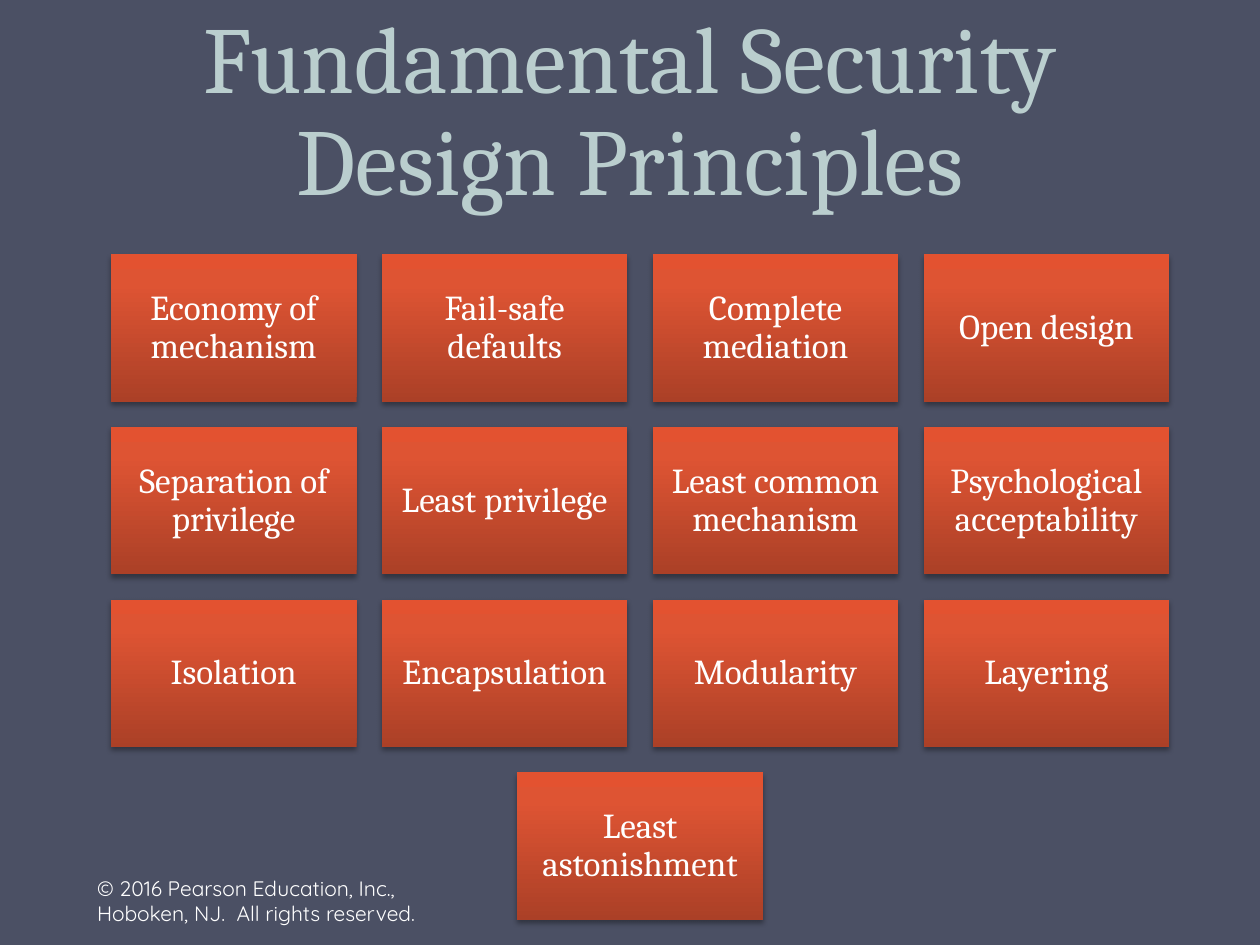
from dataclasses import dataclass

from lxml import etree
from pptx import Presentation
from pptx.dml.color import RGBColor
from pptx.enum.shapes import MSO_SHAPE
from pptx.enum.text import MSO_ANCHOR, PP_ALIGN
from pptx.oxml.ns import qn
from pptx.util import Inches, Pt

RECTANGLE = MSO_SHAPE.RECTANGLE
CENTER, LEFT = PP_ALIGN.CENTER, PP_ALIGN.LEFT
MIDDLE, BOTTOM = MSO_ANCHOR.MIDDLE, MSO_ANCHOR.BOTTOM


@dataclass(frozen=True)
class Theme:
    background: str = "4B5064"
    heading: str = "BACECE"
    text: str = "FFFFFF"
    shadow: str = "000000"
    tile_stops: tuple = ((0, "AB4027"), (80, "DE5433"), (100, "E35230"))
    serif: str = "Cambria"
    sans: str = "Quicksand"
    title_size: int = 54
    tile_size: int = 20
    footer_size: int = 12


theme = Theme()


def write_text(box, text, font, size, color, align, anchor, insets, spacing=None):
    frame = box.text_frame
    frame.word_wrap = True
    frame.vertical_anchor = anchor
    (frame.margin_left, frame.margin_top,
     frame.margin_right, frame.margin_bottom) = map(Inches, insets)
    para = frame.paragraphs[0]
    para.alignment = align
    para.line_spacing = spacing
    span = para.add_run()
    span.text = text
    span.font.name = font
    span.font.size = Pt(size)
    span.font.color.rgb = RGBColor.from_string(color)


def style_tile(tile):
    # Gradient runs from the dark bottom edge up to the bright top edge
    tile.fill.gradient()
    tile.fill.gradient_angle = 90
    stops = tile._element.spPr.find(".//" + qn("a:gsLst"))
    stops.clear()
    for position, color in theme.tile_stops:
        stop = etree.SubElement(stops, qn("a:gs"), pos=str(position * 1000))
        etree.SubElement(stop, qn("a:srgbClr"), val=color)
    tile.line.fill.background()

    # Soft shadow straight below
    tile.shadow.inherit = False
    effects = tile._element.spPr.find(qn("a:effectLst"))
    shadow = etree.SubElement(effects, qn("a:outerShdw"), blurRad=str(Pt(3.1)),
                              dist=str(Pt(1.8)), dir="5400000", rotWithShape="0")
    shade = etree.SubElement(shadow, qn("a:srgbClr"), val=theme.shadow)
    etree.SubElement(shade, qn("a:alpha"), val="35000")


deck = Presentation()
deck.slide_width, deck.slide_height = Inches(10), Inches(7.5)
page = deck.slides.add_slide(deck.slide_layouts[6])
page.background.fill.solid()
page.background.fill.fore_color.rgb = RGBColor.from_string(theme.background)

# Title
title = page.shapes.add_textbox(Inches(0.5), Inches(0), Inches(9), Inches(1.75))
write_text(title, "Fundamental Security Design Principles", theme.serif,
           theme.title_size, theme.heading, CENTER, BOTTOM,
           (0.1, 0.05, 0.1, 0.05), Pt(58))

# Principles: a grid of tiles, each row centred on the full row width
principles = [
    ["Economy of mechanism", "Fail-safe defaults", "Complete mediation", "Open design"],
    ["Separation of privilege", "Least privilege", "Least common mechanism",
     "Psychological acceptability"],
    ["Isolation", "Encapsulation", "Modularity", "Layering"],
    ["Least astonishment"],
]
grid_left, grid_top = 0.88, 2.02
tile_width, tile_height = 1.95, 1.17
column_step, row_step = 2.15, 1.37
columns = len(principles[0])

for row, names in enumerate(principles):
    row_left = grid_left + (columns - len(names)) * column_step / 2
    for column, name in enumerate(names):
        tile = page.shapes.add_shape(
            RECTANGLE, Inches(row_left + column * column_step),
            Inches(grid_top + row * row_step), Inches(tile_width), Inches(tile_height))
        style_tile(tile)
        write_text(tile, name, theme.serif, theme.tile_size, theme.text,
                   CENTER, MIDDLE, (0.08, 0.08, 0.08, 0.08), 0.9)

# Copyright line
footer = page.shapes.add_textbox(Inches(0.72), Inches(6.95), Inches(3.11), Inches(0.4))
write_text(footer, "© 2016 Pearson Education, Inc., Hoboken, NJ.  All rights reserved.",
           theme.sans, theme.footer_size, theme.text, LEFT, MIDDLE,
           (0.05, 0.05, 0.1, 0.05))

deck.save("out.pptx")
